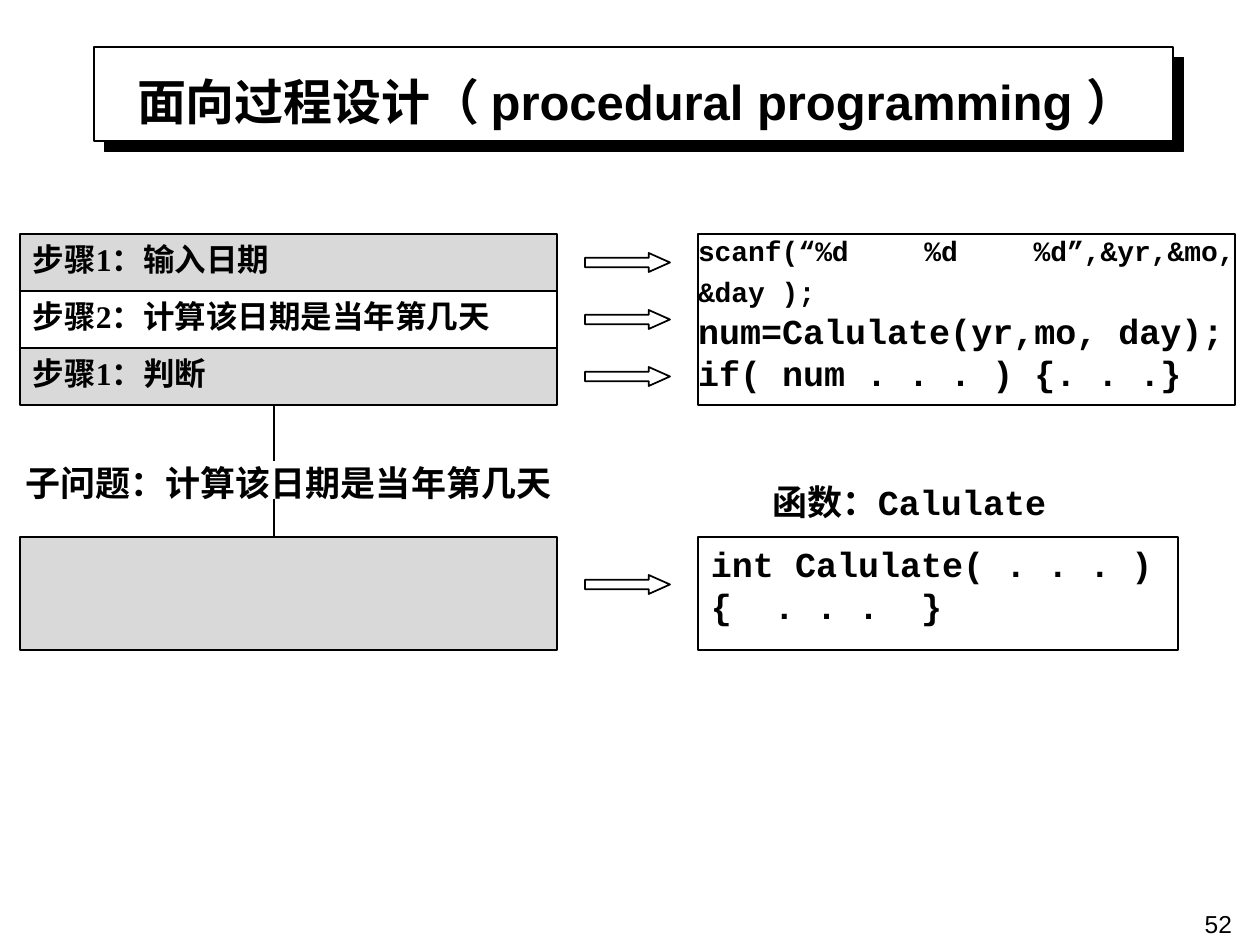
from lxml import etree
from pptx import Presentation
from pptx import util as u
from pptx.dml.color import RGBColor
from pptx.enum import shapes, text
from pptx.oxml.ns import qn

SCALE = 914400 / 126  # EMU per px
COLORS = {"ink": "000000", "paper": "FFFFFF", "step": "C0C0C0"}
SERIF, SANS, MONO = "Times New Roman", "Arial", "Courier New"
ALIGN = text.PP_ALIGN


def px(*lengths):
    return [u.Emu(round(length * SCALE)) for length in lengths]


def color(name):
    return RGBColor.from_string(COLORS[name])


def write(shape, paragraphs, font=SERIF, size=18, bold=True, align=ALIGN.JUSTIFY,
          anchor=text.MSO_ANCHOR.TOP, inset=(13, 6)):
    """Each paragraph is a string or a list of (string, size) runs."""
    frame = shape.text_frame
    frame.word_wrap = True
    frame.vertical_anchor = anchor
    frame.margin_left, frame.margin_top = px(*inset)
    frame.margin_right, frame.margin_bottom = px(*inset)
    for index, content in enumerate(paragraphs):
        paragraph = frame.paragraphs[0] if index == 0 else frame.add_paragraph()
        paragraph.alignment = align
        runs = [(content, size)] if isinstance(content, str) else content
        for words, run_size in runs:
            run = paragraph.add_run()
            run.text = words
            run.font.name, run.font.size, run.font.bold = font, u.Pt(run_size), bold
            run.font.color.rgb = color("ink")


def add_box(slide, left, top, width, height, fill=None, alpha=None, line=1,
            kind=shapes.MSO_SHAPE.RECTANGLE):
    shape = slide.shapes.add_shape(kind, *px(left, top, width, height))
    shape.shadow.inherit = False
    shape.line.color.rgb = color("ink")
    shape.line.width = u.Pt(line)
    if fill is None:
        shape.fill.background()
    else:
        shape.fill.solid()
        shape.fill.fore_color.rgb = color(fill)
    if alpha is not None:
        fill_color = shape._element.spPr.find(qn("a:solidFill"))[0]
        etree.SubElement(fill_color, qn("a:alpha"), val=str(alpha * 1000))
    return shape


def add_arrow(slide, top):
    arrow = add_box(slide, 585, top, 85, 19, kind=shapes.MSO_SHAPE.RIGHT_ARROW)
    arrow.adjustments[0], arrow.adjustments[1] = 0.5, 1.12


def add_label(slide, left, top, width, height, words, **style):
    label = slide.shapes.add_textbox(*px(left, top, width, height))
    write(label, [words], **style)


def add_link(slide, x, top, bottom):
    link = slide.shapes.add_connector(shapes.MSO_CONNECTOR.STRAIGHT,
                                      *px(x, top, x, bottom))
    link.line.color.rgb = color("ink")
    link.line.width = u.Pt(1)
    etree.SubElement(link._element.spPr, qn("a:effectLst"))


def add_title(slide, words):
    # Framed box with a hard offset shadow
    frame = add_box(slide, 94, 47, 1079, 94, fill="paper", line=0.75)
    effects = frame._element.spPr.find(qn("a:effectLst"))
    shadow = etree.SubElement(effects, qn("a:outerShdw"), dist=str(u.Pt(8.5)),
                              dir=str(45 * 60000), algn="ctr", rotWithShape="0")
    etree.SubElement(shadow, qn("a:srgbClr"), val=COLORS["ink"])
    # The title sits in front of its frame
    title = slide.shapes.title
    title.left, title.top, title.width, title.height = px(105, 56, 1062, 89)
    write(title, [words], font=SANS, size=28, align=ALIGN.CENTER,
          anchor=text.MSO_ANCHOR.MIDDLE)
    frame._element.addnext(title._element)


def main():
    presentation = Presentation()
    presentation.slide_width, presentation.slide_height = px(1260, 945)
    slide = presentation.slides.add_slide(presentation.slide_layouts[5])
    add_title(slide, "面向过程设计（ procedural programming ）")

    # Steps, each pointing to its code
    steps = ["步骤1：输入日期", "步骤2：计算该日期是当年第几天", "步骤1：判断"]
    left, top, width, row = 20, 234, 537, 57
    for index, step in enumerate(steps):
        fill, alpha = (None, None) if index % 2 else ("step", 60)
        box = add_box(slide, left, top + index * row, width, row, fill, alpha)
        write(box, [step])
        add_arrow(slide, top + index * row + 19)
    bottom = top + len(steps) * row
    code = add_box(slide, 698, top, width, bottom - top)
    write(code, [[("scanf(“%d %d %d”,&yr,&mo, &day );", 16), (" ", 20)],
                 "num=Calulate(yr,mo, day);", "if( num . . . ) {. . .}"],
          font=MONO, size=20, inset=(0, 0))

    # Subproblem, pointing to its function
    sub_top, sub_height = 537, 113
    add_box(slide, left, sub_top, width, sub_height, "step", 60)
    label_style = {"size": 20, "align": ALIGN.CENTER, "inset": (0, 0)}
    add_label(slide, left, 462, width, 38, "子问题：计算该日期是当年第几天", **label_style)
    add_link(slide, 274, bottom, 461)
    add_link(slide, 274, 499, sub_top)
    add_arrow(slide, 575)
    function = add_box(slide, 698, sub_top, 480, sub_height)
    write(function, ["int Calulate( . . . )", "{  . . .  }"], font=MONO, size=20)
    add_label(slide, 641, 481, width, 38, "函数：Calulate", font=MONO, **label_style)

    # Slide number
    add_label(slide, 951, 903, 294, 66, "52", font=SANS, size=14, bold=False,
              align=ALIGN.RIGHT)
    presentation.save("out.pptx")


if __name__ == "__main__":
    main()
